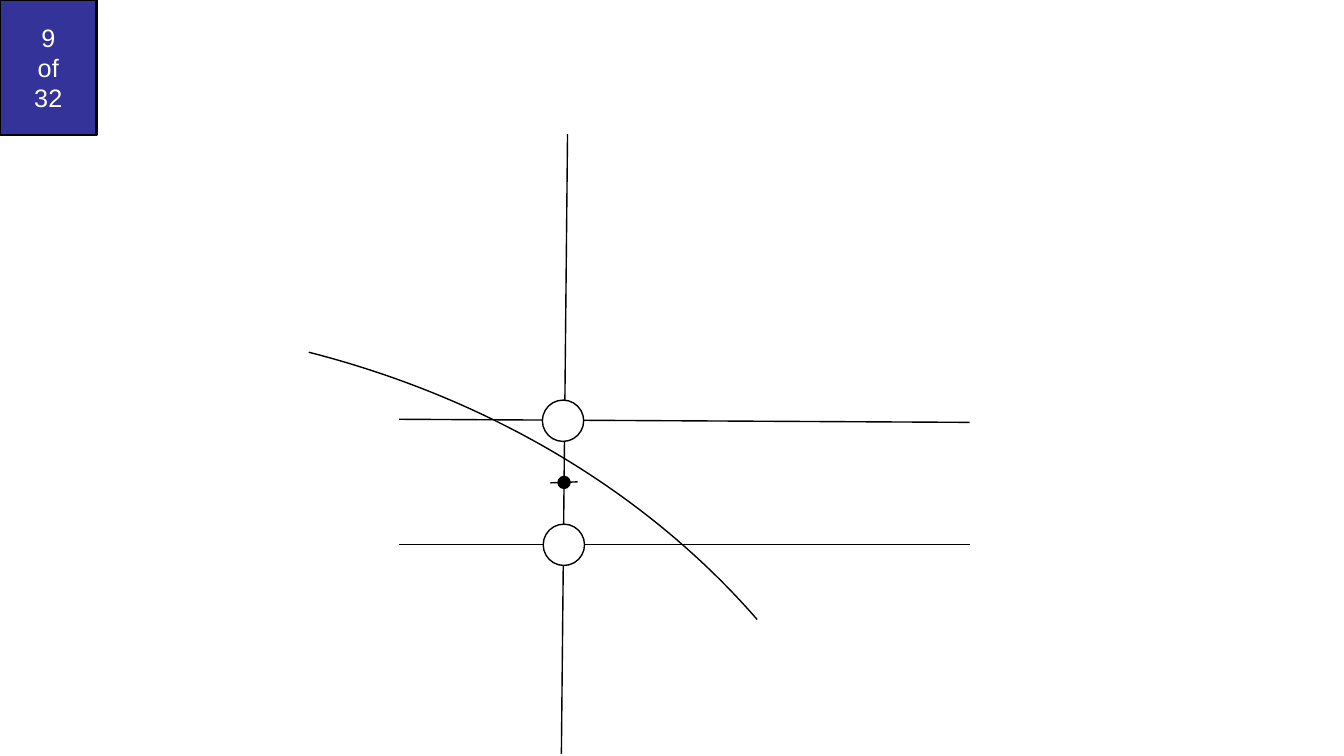
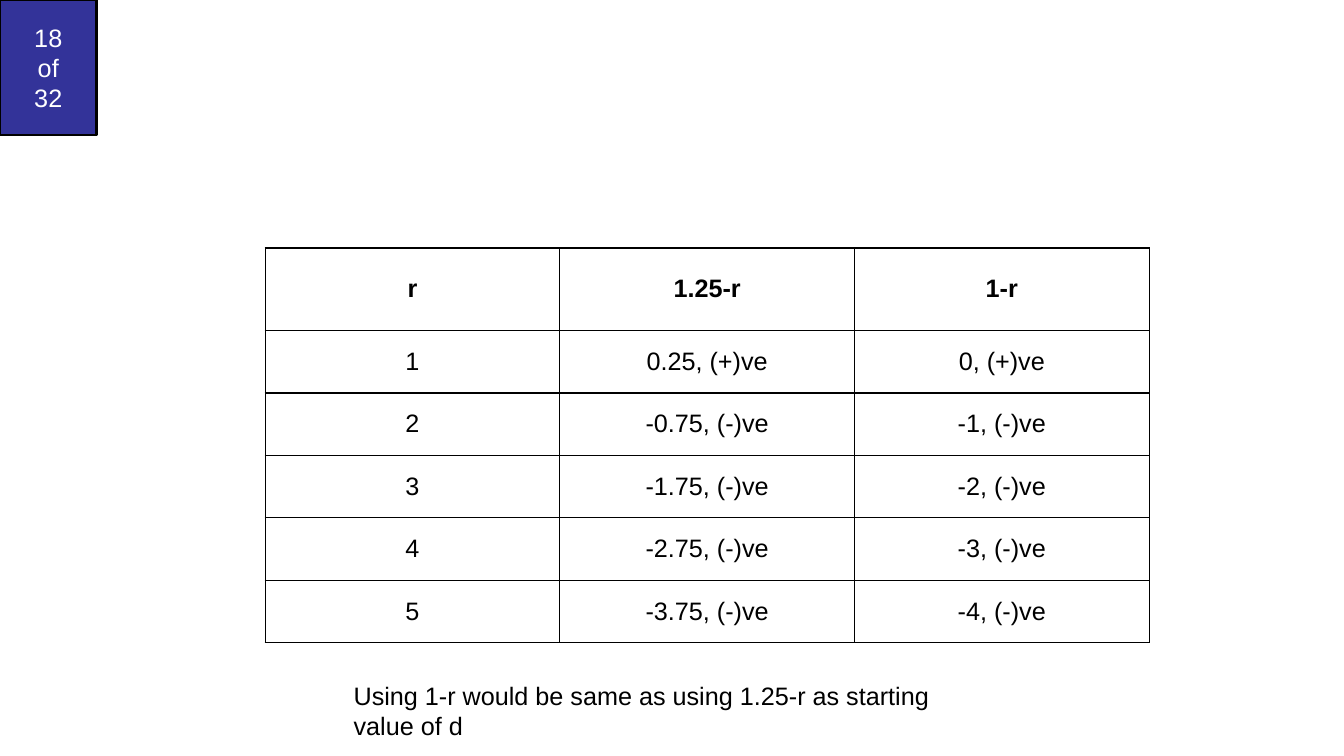
from lxml import etree
from pptx import Presentation
from pptx.dml.color import RGBColor
from pptx.enum.shapes import MSO_CONNECTOR, MSO_SHAPE
from pptx.enum.text import MSO_ANCHOR, PP_ALIGN
from pptx.oxml.ns import qn
from pptx.util import Pt

ARC = MSO_SHAPE.ARC
OVAL = MSO_SHAPE.OVAL
RECTANGLE = MSO_SHAPE.RECTANGLE
STRAIGHT = MSO_CONNECTOR.STRAIGHT
CENTER = PP_ALIGN.CENTER
MIDDLE = MSO_ANCHOR.MIDDLE

BLACK = "000000"
WHITE = "FFFFFF"
INDIGO = "333399"
FONT = "Arial"
TEXT_SIZE = 18
SLIDE_COUNT = 32
ARC_DEGREE = 0.6


def color(value):
    return RGBColor.from_string(value)


def add_run(paragraph, text, text_color=BLACK, bold=False):
    run = paragraph.add_run()
    run.text = text
    run.font.name = FONT
    run.font.size = Pt(TEXT_SIZE)
    run.font.bold = bold
    run.font.color.rgb = color(text_color)


def add_figure(shapes, preset, left, top, width, height, fill=None, line_width=1):
    shape = shapes.add_shape(preset, Pt(left), Pt(top), Pt(width), Pt(height))
    shape.shadow.inherit = False
    if fill:
        shape.fill.solid()
        shape.fill.fore_color.rgb = color(fill)
    else:
        shape.fill.background()
    shape.line.color.rgb = color(BLACK)
    shape.line.width = Pt(line_width)
    return shape


def add_line(shapes, start_x, start_y, end_x, end_y):
    line = shapes.add_connector(STRAIGHT, Pt(start_x), Pt(start_y), Pt(end_x), Pt(end_y))
    line.line.color.rgb = color(BLACK)
    line.line.width = Pt(1)
    etree.SubElement(line._element.spPr, qn("a:effectLst"))


def add_arc(shapes, left, top, width, height, start_degrees, end_degrees):
    arc = add_figure(shapes, ARC, left, top, width, height)
    arc.adjustments[0] = start_degrees * ARC_DEGREE
    arc.adjustments[1] = end_degrees * ARC_DEGREE


def add_numbered_slide(presentation, number):
    slide = presentation.slides.add_slide(presentation.slide_layouts[6])
    badge = add_figure(slide.shapes, RECTANGLE, 0, 0, 69, 96.5, INDIGO, 2)
    badge.text_frame.vertical_anchor = MIDDLE
    paragraph = badge.text_frame.paragraphs[0]
    paragraph.alignment = CENTER
    add_run(paragraph, str(number), WHITE)
    for text in ("of", str(SLIDE_COUNT)):
        paragraph.add_line_break()
        add_run(paragraph, text, WHITE)
    return slide


def add_cell_borders(cell):
    properties = cell._tc.get_or_add_tcPr()
    for position, side in enumerate(("lnL", "lnR", "lnT", "lnB")):
        border = etree.Element(qn(f"a:{side}"), w=str(Pt(1)))
        fill = etree.SubElement(border, qn("a:solidFill"))
        etree.SubElement(fill, qn("a:srgbClr"), val=BLACK)
        properties.insert(position, border)


def add_grid(shapes, rows, left, top, column_width, header_height, row_height):
    column_count = len(rows[0])
    height = header_height + row_height * (len(rows) - 1)
    frame = shapes.add_table(
        len(rows), column_count, Pt(left), Pt(top),
        Pt(column_width * column_count), Pt(height),
    )
    table = frame.table
    table.first_row = False
    table.horz_banding = False
    for column in table.columns:
        column.width = Pt(column_width)
    for row_index, texts in enumerate(rows):
        is_header = row_index == 0
        table.rows[row_index].height = Pt(header_height if is_header else row_height)
        for column_index, text in enumerate(texts):
            cell = table.cell(row_index, column_index)
            cell.fill.background()
            cell.vertical_anchor = MIDDLE
            add_cell_borders(cell)
            paragraph = cell.text_frame.paragraphs[0]
            paragraph.alignment = CENTER
            add_run(paragraph, text, bold=is_header)


def add_note(shapes, text, left, top, width, height):
    box = shapes.add_textbox(Pt(left), Pt(top), Pt(width), Pt(height))
    box.text_frame.word_wrap = True
    add_run(box.text_frame.paragraphs[0], text)


def signed(value):
    sign = "-" if value < 0 else "+"
    return f"{value:g}, ({sign})ve"


def build_midpoint_slide(presentation):
    shapes = add_numbered_slide(presentation, 9).shapes
    add_line(shapes, 692.6, 301.7, 285.1, 299.5)
    add_line(shapes, 692.6, 388.8, 285.1, 388.8)
    add_line(shapes, 405.4, 95.8, 401, 538.6)
    for left, top in ((387.4, 285.8), (388, 374.4)):
        add_figure(shapes, OVAL, left, top, 29.5, 29.5, WHITE)
    midpoint = shapes.add_group_shape().shapes
    add_line(midpoint, 393.1, 344.9, 412.6, 344.2)
    add_figure(midpoint, OVAL, 398.6, 340.3, 8.6, 8.6, BLACK)
    add_arc(shapes, -579.6, 229, 1238.4, 1034, 290.1, 328.8)


def build_decision_slide(presentation):
    shapes = add_numbered_slide(presentation, 18).shapes
    rows = [("r", "1.25-r", "1-r")]
    rows += [(str(r), signed(1.25 - r), signed(1 - r)) for r in range(1, 6)]
    add_grid(shapes, rows, 189.4, 177.1, 210.5, 59, 44.6)
    note = "Using 1-r would be same as using 1.25-r as starting value of d"
    add_note(shapes, note, 245.5, 482.4, 465, 29)


def main():
    presentation = Presentation()
    presentation.slide_width = Pt(960)
    presentation.slide_height = Pt(540)
    build_midpoint_slide(presentation)
    build_decision_slide(presentation)
    presentation.save("out.pptx")


if __name__ == "__main__":
    main()
